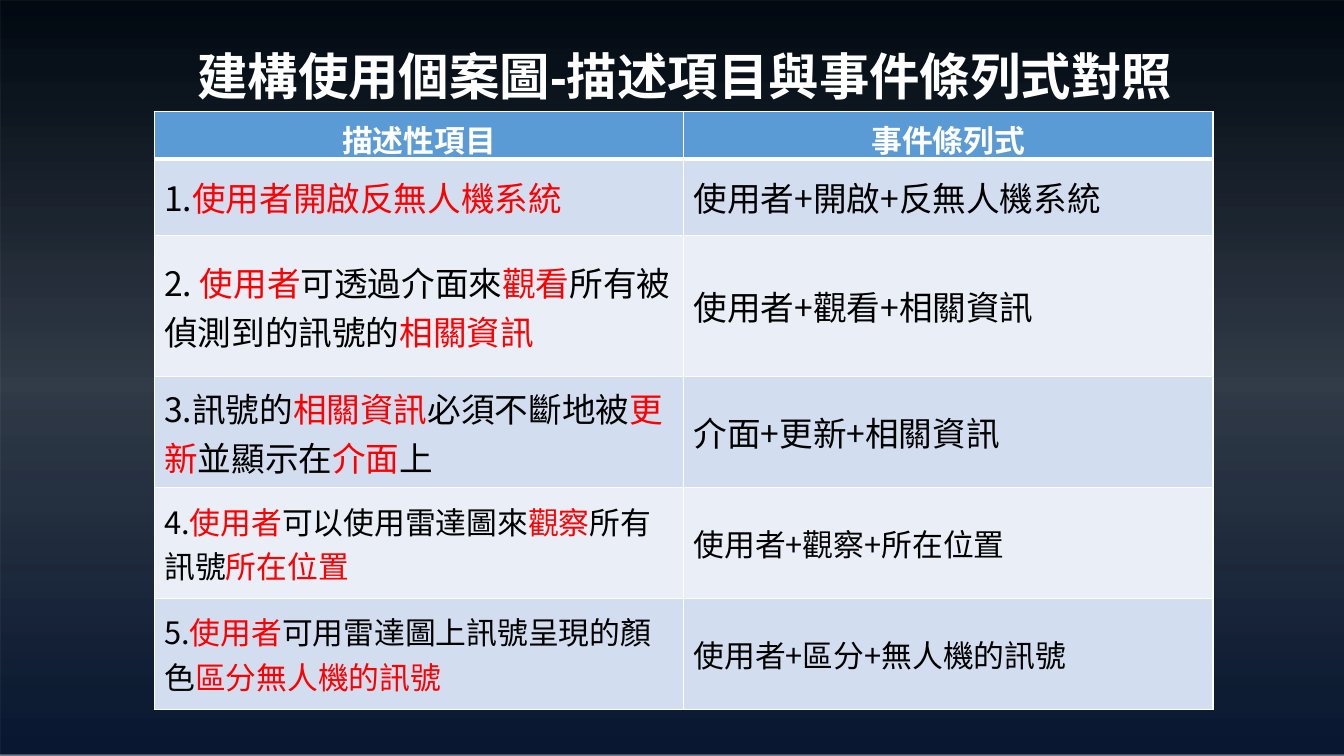
from copy import deepcopy

from pptx import Presentation
from pptx.dml.color import RGBColor
from pptx.enum.shapes import MSO_SHAPE as Shape
from pptx.enum.text import MSO_ANCHOR as Anchor, PP_ALIGN as Align
from pptx.oxml.ns import qn
from pptx.util import Inches, Pt
from lxml.etree import SubElement

WHITE = RGBColor(0xFF, 0xFF, 0xFF)
BLACK = RGBColor(0x00, 0x00, 0x00)
RED = RGBColor(0xFF, 0x00, 0x00)
HEADER_BLUE = RGBColor(0x5B, 0x9B, 0xD5)
BANDS = (RGBColor(0xD2, 0xDE, 0xEF), RGBColor(0xEA, 0xEF, 0xF7))
NIGHT_TOP = RGBColor(0x02, 0x09, 0x11)
NIGHT_MIDDLE = RGBColor(0x09, 0x15, 0x24)
NIGHT_BOTTOM = RGBColor(0x09, 0x17, 0x31)

TITLE_FONT = "Arial"
TABLE_FONT = "Noto Sans CJK SC"

TITLE = "建構使用個案圖-描述項目與事件條列式對照"
HEADERS = ("描述性項目", "事件條列式")
# Height, text size, description (red parts between bars), event.
USE_CASES = (
    (0.76, 24, "1.|使用者開啟反無人機系統", "使用者+開啟+反無人機系統"),
    (1.4, 24, "2. |使用者|可透過介面來|觀看|所有被偵測到的訊號的|相關資訊",
     "使用者+觀看+相關資訊"),
    (1.1, 24, "3.訊號的|相關資訊|必須不斷地被|更新|並顯示在|介面|上",
     "介面+更新+相關資訊"),
    (1.1, 22, "4.|使用者|可以使用雷達圖來|觀察|所有訊號|所在位置",
     "使用者+觀察+所在位置"),
    (1.1, 22, "5.|使用者|可用雷達圖上訊號呈現的顏色|區分無人機的訊號",
     "使用者+區分+無人機的訊號"),
)


def add_night_background(page):
    """Cover the page with a vertical gradient, translucent in the middle."""
    box = page.shapes.add_shape(Shape.RECTANGLE, 0, 0, Inches(13.37), Inches(7.5))
    box.shadow.inherit = False
    box.line.fill.background()
    box.fill.gradient()
    box.fill.gradient_angle = 270
    first = next(box._element.spPr.iter(qn("a:gs")))
    first.addnext(deepcopy(first))
    stops = box.fill.gradient_stops
    colors = (NIGHT_TOP, NIGHT_MIDDLE, NIGHT_BOTTOM)
    for stop, position, color in zip(stops, (0, 0.51, 1), colors):
        stop.position = position
        stop.color.rgb = color
    middle = list(box._element.spPr.iter(qn("a:srgbClr")))[1]
    SubElement(middle, qn("a:alpha"), val="83000")


def set_font(para, name, size, bold=False, color=None):
    font = para.font
    font.name, font.size, font.bold = name, Pt(size), bold
    if color is not None:
        font.color.rgb = color
    for span in para.runs:
        SubElement(span._r.get_or_add_rPr(), qn("a:ea"), typeface=TABLE_FONT)


def add_title(page):
    """Add the title in a box wide enough to hold it on one line."""
    box = page.shapes.add_textbox(Inches(1.29), Inches(0.4), Inches(11), Inches(0.71))
    box.text_frame.word_wrap = True
    para = box.text_frame.paragraphs[0]
    para.text = TITLE
    para.alignment = Align.CENTER
    set_font(para, TITLE_FONT, 36, True, WHITE)


def set_borders(cell, bottom_width):
    """Draw white cell borders; they must precede the fill in the XML."""
    properties = cell._tc.get_or_add_tcPr()
    for side, width in (("L", 1), ("R", 1), ("T", 1), ("B", bottom_width)):
        line = SubElement(properties, qn(f"a:ln{side}"), w=str(Pt(width)))
        fill = SubElement(line, qn("a:solidFill"))
        SubElement(fill, qn("a:srgbClr"), val=str(WHITE))


def style_cell(cell, color, bottom_width=1):
    set_borders(cell, bottom_width)
    cell.fill.solid()
    cell.fill.fore_color.rgb = color
    cell.vertical_anchor = Anchor.MIDDLE


def fill_header(cell, text):
    style_cell(cell, HEADER_BLUE, bottom_width=3)
    para = cell.text_frame.paragraphs[0]
    para.text = text
    para.alignment = Align.CENTER
    set_font(para, TABLE_FONT, 22, True, WHITE)


def fill_body(cell, text, size, band):
    """Write text whose bar-separated parts alternate black and red."""
    style_cell(cell, band)
    para = cell.text_frame.paragraphs[0]
    for index, part in enumerate(text.split("|")):
        span = para.add_run()
        span.text = part
        span.font.color.rgb = RED if index % 2 else BLACK
    set_font(para, TABLE_FONT, size)


def add_use_case_table(page):
    frame = page.shapes.add_table(len(USE_CASES) + 1, len(HEADERS), Inches(1.53),
                                  Inches(1.11), Inches(10.5), Inches(5.92))
    table = frame.table
    table.rows[0].height = Inches(0.43)
    for column, text in enumerate(HEADERS):
        fill_header(table.cell(0, column), text)
    for row, (height, size, *texts) in enumerate(USE_CASES, start=1):
        table.rows[row].height = Inches(height)
        for column, text in enumerate(texts):
            fill_body(table.cell(row, column), text, size, BANDS[(row - 1) % 2])


def main():
    deck = Presentation()
    deck.slide_width, deck.slide_height = Inches(13.33), Inches(7.5)
    page = deck.slides.add_slide(deck.slide_layouts[6])
    add_night_background(page)
    add_title(page)
    add_use_case_table(page)
    deck.save("out.pptx")


if __name__ == "__main__":
    main()
